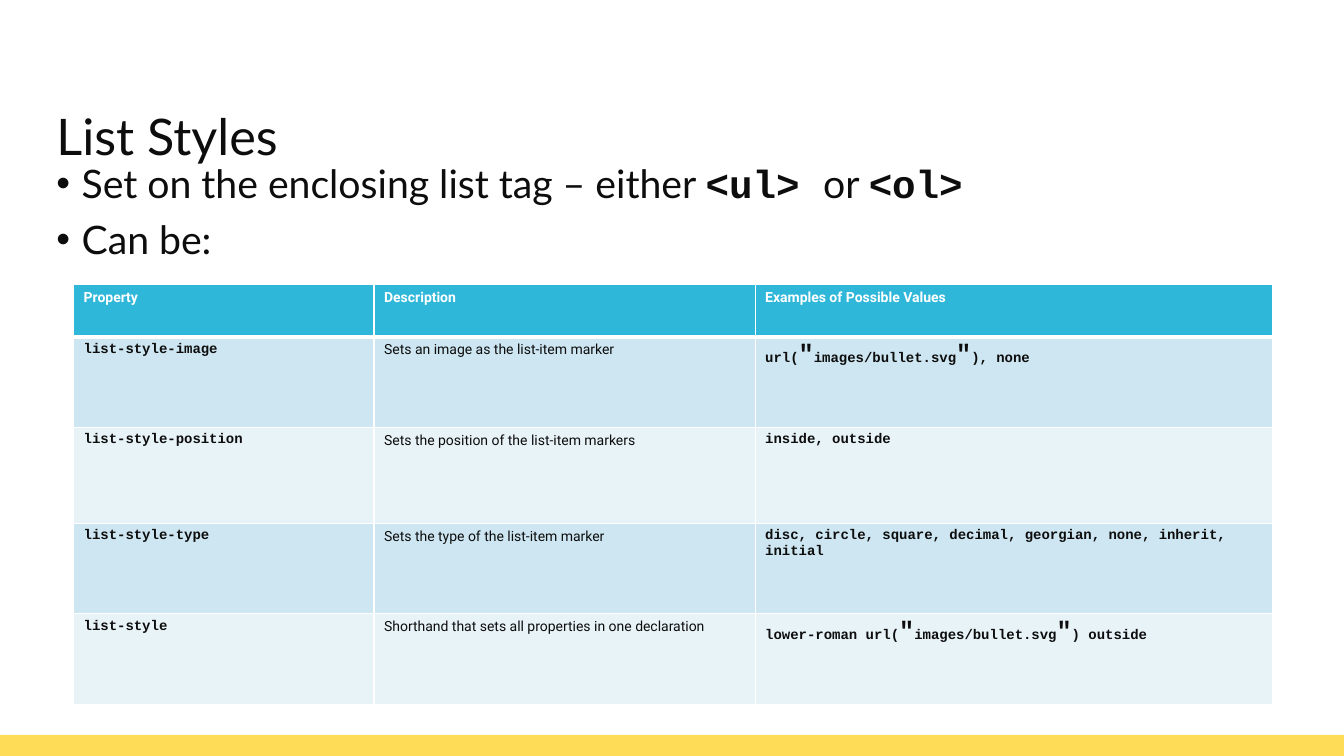
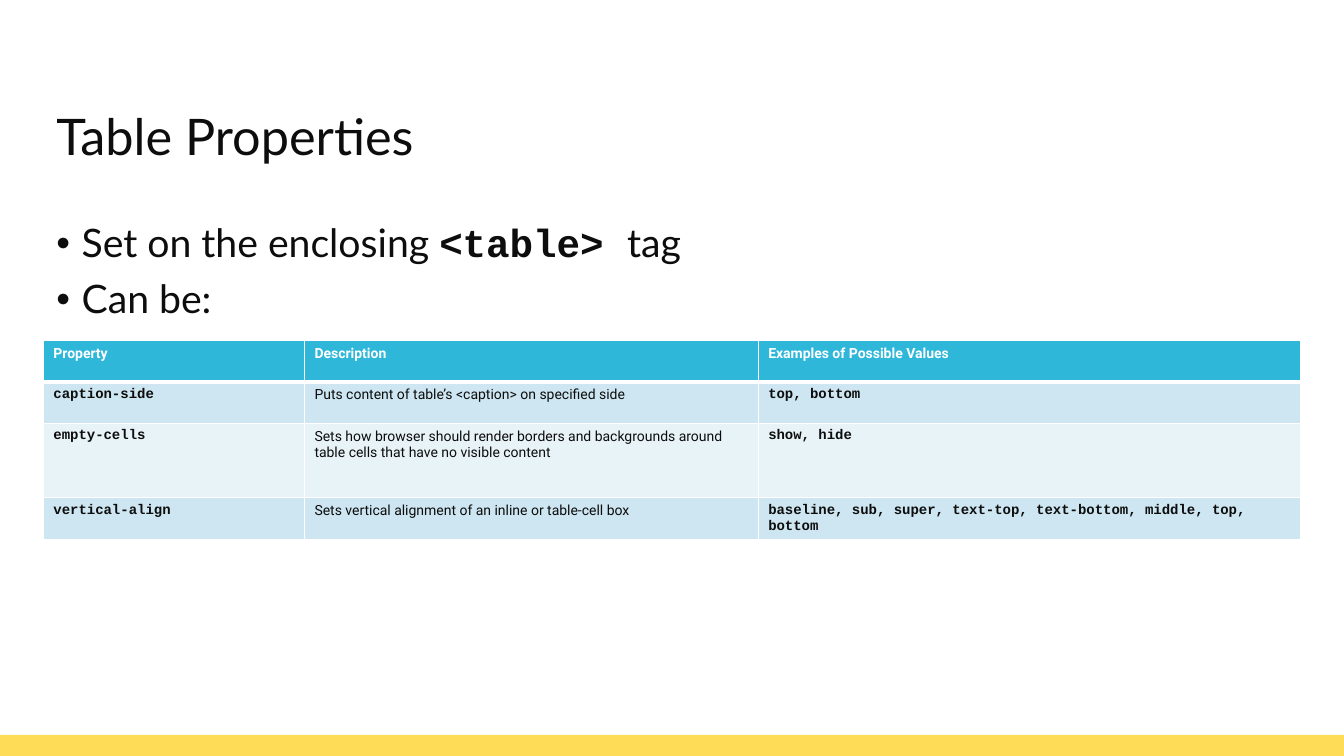
from dataclasses import dataclass
from itertools import cycle

from lxml.etree import SubElement
from pptx import Presentation
from pptx.dml.color import RGBColor
from pptx.enum.shapes import MSO_SHAPE
from pptx.enum.text import MSO_ANCHOR, MSO_AUTO_SIZE, PP_ALIGN
from pptx.oxml.ns import qn
from pptx.util import Pt

PX = 9144
SLIDE_WIDTH, SLIDE_HEIGHT = 1333, 750
BAND_HEIGHT = 21
TITLE_BOX = (56, 106, 1221, 79)
BULLET_INDENT = 25


@dataclass(frozen=True)
class Theme:
    """Colours, fonts and type sizes of the deck."""
    ink: str = "0D0D0D"
    white: str = "FFFFFF"
    band: str = "FFDC57"
    header: str = "2FB7DA"
    stripes: tuple = ("CDE6F1", "E8F3F8")
    text_font: str = "Lato"
    table_font: str = "Roboto"
    code_font: str = "Courier New"
    title_size: int = 36
    bullet_size: int = 28
    quote_size: int = 18
    cell_size: int = 10
    rule: int = 1
    header_rule: int = 3


THEME = Theme()


def text_style(name, size, bold=False, color=THEME.ink):
    """Return the format values of one kind of run."""
    return {"name": name, "size": Pt(size), "bold": bold, "color": color}


TITLE = text_style(THEME.text_font, THEME.title_size)
BULLET = text_style(THEME.text_font, THEME.bullet_size)
BULLET_CODE = text_style(THEME.code_font, THEME.bullet_size, True)
HEADING = text_style(THEME.table_font, THEME.cell_size, True, THEME.white)
DESCRIPTION = text_style(THEME.table_font, THEME.cell_size)
CODE = text_style(THEME.code_font, THEME.cell_size, True)
QUOTE = text_style(THEME.code_font, THEME.quote_size, True)

HEADINGS = ("Property", "Description", "Examples of Possible Values")

SLIDES = (
    {
        "title": "List Styles",
        "bullets": ("Set on the enclosing list tag – either |<ul> |or |<ol>",
                    "Can be:"),
        "bullet_box": (56, 158, 1221, 473),
        "table_origin": (73, 282),
        "columns": (298, 378, 513),
        "rows": (52, 90, 95, 90, 90),
        "properties": (
            ("list-style-image", "Sets an image as the list-item marker",
             'url("images/bullet.svg"), none'),
            ("list-style-position", "Sets the position of the list-item markers",
             "inside, outside"),
            ("list-style-type", "Sets the type of the list-item marker",
             "disc, circle, square, decimal, georgian, none, inherit, initial"),
            ("list-style", "Shorthand that sets all properties in one declaration",
             'lower-roman url("images/bullet.svg") outside'),
        ),
    },
    {
        "title": "Table Properties",
        "bullets": ("Set on the enclosing |<table> |tag", "Can be:"),
        "bullet_box": (56, 217, 1221, 473),
        "table_origin": (43, 338),
        "columns": (259, 450, 538),
        "rows": (41, 41, 74, 41),
        "properties": (
            ("caption-side", "Puts content of table’s <caption> on specified side",
             "top, bottom"),
            ("empty-cells",
             "Sets how browser should render borders and backgrounds around "
             "table cells that have no visible content",
             "show, hide"),
            ("vertical-align", "Sets vertical alignment of an inline or table-cell box",
             "baseline, sub, super, text-top, text-bottom, middle, top, bottom"),
        ),
    },
)


def emu(*lengths):
    """Turn px lengths into EMU."""
    return [length * PX for length in lengths]


def set_values(target, values):
    """Set each attribute of the target from a dict."""
    for attribute, value in values.items():
        setattr(target, attribute, value)


def add_runs(paragraph, text, *styles):
    """Add the pieces between bars as runs that take the styles in turn."""
    for piece, style in zip(text.split("|"), cycle(styles)):
        run = paragraph.add_run()
        run.text = piece
        set_values(run.font, {key: style[key] for key in ("name", "size", "bold")})
        run.font.color.rgb = RGBColor.from_string(style["color"])


def format_frame(frame):
    """Give a text frame the shared insets, wrapping and anchor."""
    inset = 5 * PX
    set_values(frame, {
        "margin_left": 0, "margin_right": 0,
        "margin_top": inset, "margin_bottom": inset,
        "word_wrap": True, "auto_size": MSO_AUTO_SIZE.NONE,
        "vertical_anchor": MSO_ANCHOR.TOP,
    })


def draw_title(slide, box, text):
    """Place and fill the title placeholder."""
    title = slide.shapes.title
    set_values(title, dict(zip(("left", "top", "width", "height"), emu(*box))))
    format_frame(title.text_frame)
    line = title.text_frame.paragraphs[0]
    set_values(line, {"alignment": PP_ALIGN.LEFT, "line_spacing": 0.9})
    add_runs(line, text, TITLE)


def draw_bullets(slide, box, bullets):
    """Write the bulleted lines in a box."""
    frame = slide.shapes.add_textbox(*emu(*box)).text_frame
    format_frame(frame)
    for index, bullet in enumerate(bullets):
        line = frame.add_paragraph() if index else frame.paragraphs[0]
        set_values(line, {"line_spacing": 0.9, "space_before": Pt(10 if index else 0)})
        properties = line._p.get_or_add_pPr()
        properties.set("marL", str(BULLET_INDENT * PX))
        properties.set("indent", str(-BULLET_INDENT * PX))
        SubElement(properties, qn("a:buFont"), typeface="Arial")
        SubElement(properties, qn("a:buChar"), char="•")
        add_runs(line, bullet, BULLET, BULLET_CODE)


def format_cell(cell, row):
    """Rule and fill a cell according to its row."""
    properties = cell._tc.get_or_add_tcPr()
    top = THEME.header_rule if row == 1 else THEME.rule
    bottom = THEME.header_rule if row == 0 else THEME.rule
    widths = {"lnL": THEME.rule, "lnR": THEME.rule, "lnT": top, "lnB": bottom}
    for side, width in widths.items():
        edge = SubElement(properties, qn(f"a:{side}"), w=str(Pt(width)))
        SubElement(SubElement(edge, qn("a:solidFill")), qn("a:srgbClr"), val=THEME.white)
    fill = THEME.stripes[(row - 1) % 2] if row else THEME.header
    cell.fill.solid()
    cell.fill.fore_color.rgb = RGBColor.from_string(fill)


def draw_properties(slide, origin, columns, rows, properties):
    """Draw the table of CSS properties from its top left corner."""
    box = (*origin, sum(columns), sum(rows))
    table = slide.shapes.add_table(len(rows), len(columns), *emu(*box)).table
    table.horz_banding = False
    for column, width in zip(table.columns, emu(*columns)):
        column.width = width
    for row, height in zip(table.rows, emu(*rows)):
        row.height = height
    for row, texts in enumerate((HEADINGS, *properties)):
        styles = (CODE, DESCRIPTION, CODE) if row else (HEADING,) * 3
        for column, (text, style) in enumerate(zip(texts, styles)):
            cell = table.cell(row, column)
            format_cell(cell, row)
            add_runs(cell.text_frame.paragraphs[0], text.replace('"', '|"|'), style, QUOTE)


def draw_band(slide):
    """Draw the bottom band and hand it to the layout that the slides share."""
    box = (0, SLIDE_HEIGHT - BAND_HEIGHT, SLIDE_WIDTH, BAND_HEIGHT)
    band = slide.shapes.add_shape(MSO_SHAPE.RECTANGLE, *emu(*box))
    band.shadow.inherit = False
    band.fill.solid()
    band.fill.fore_color.rgb = RGBColor.from_string(THEME.band)
    band.line.fill.background()
    slide.slide_layout.shapes.element.append(band.element)


def draw_slide(slide, content):
    """Draw one slide with a title, bullets and a property table."""
    draw_title(slide, TITLE_BOX, content["title"])
    draw_bullets(slide, content["bullet_box"], content["bullets"])
    draw_properties(slide, content["table_origin"], content["columns"],
                    content["rows"], content["properties"])


def main():
    """Build and save the deck."""
    deck = Presentation()
    deck.slide_width, deck.slide_height = emu(SLIDE_WIDTH, SLIDE_HEIGHT)
    title_only = deck.slide_layouts[5]
    for content in SLIDES:
        draw_slide(deck.slides.add_slide(title_only), content)
    draw_band(deck.slides[0])
    deck.save("out.pptx")


if __name__ == "__main__":
    main()
